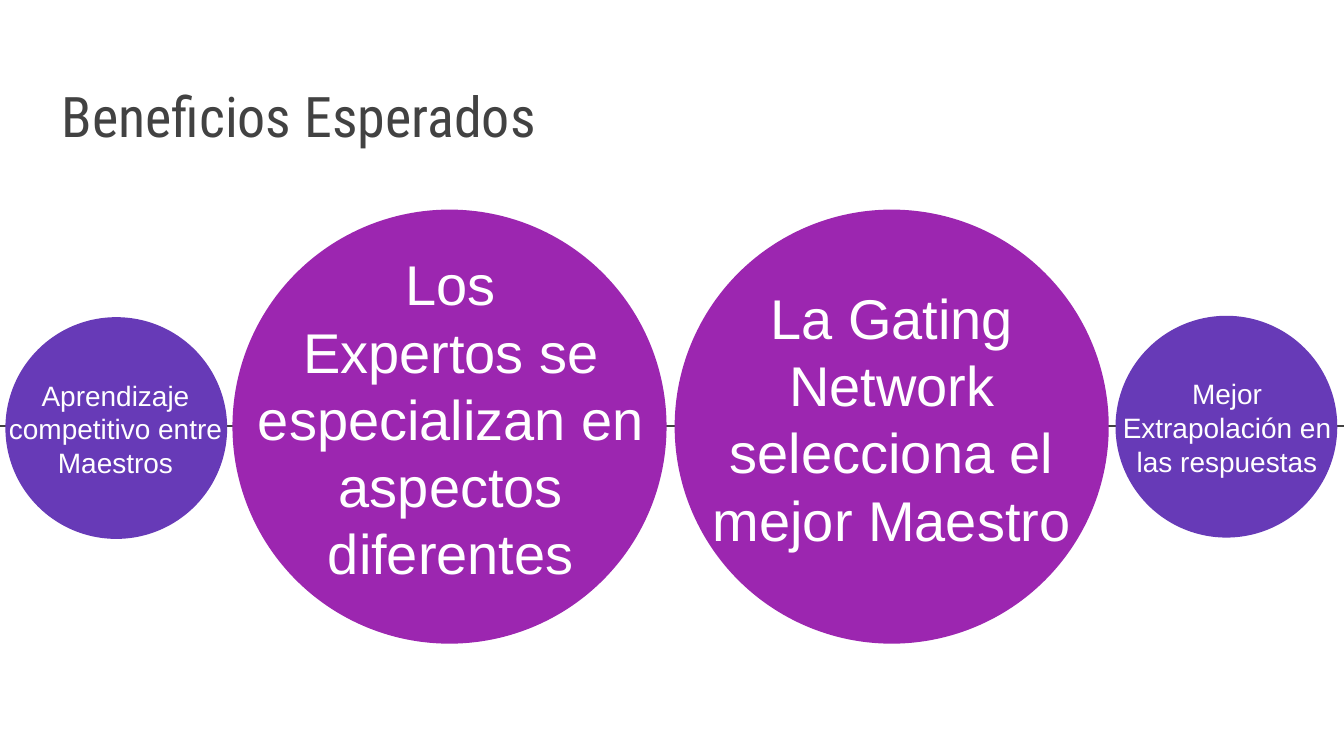
from dataclasses import dataclass

from lxml import etree
from pptx import Presentation
from pptx.dml.color import RGBColor
from pptx.enum.shapes import MSO_CONNECTOR, MSO_SHAPE
from pptx.enum.text import MSO_ANCHOR, MSO_AUTO_SIZE, PP_ALIGN
from pptx.oxml.ns import qn
from pptx.util import Inches, Pt

OVAL = MSO_SHAPE.OVAL
STRAIGHT = MSO_CONNECTOR.STRAIGHT
MIDDLE, BOTTOM = MSO_ANCHOR.MIDDLE, MSO_ANCHOR.BOTTOM
LEFT, CENTER = PP_ALIGN.LEFT, PP_ALIGN.CENTER
NO_FIT = MSO_AUTO_SIZE.NONE
TITLE_ONLY = 5
SLIDE_W = 10
SLIDE_H = SLIDE_W * 9 / 16


@dataclass(frozen=True)
class Theme:
    dark: RGBColor = RGBColor(0x42, 0x42, 0x42)
    white: RGBColor = RGBColor(0xFF, 0xFF, 0xFF)
    purple: RGBColor = RGBColor(0x9C, 0x26, 0xB0)
    violet: RGBColor = RGBColor(0x67, 0x3A, 0xB7)
    title_font: str = "Roboto Condensed"
    body_font: str = "Arial"
    large: int = 30
    small: int = 15
    leading: float = 1.2


THEME = Theme()


def place(sp, x, y, w, h):
    sp.left, sp.top, sp.width, sp.height = (Inches(v) for v in (x, y, w, h))


def write(tf, lines, font, size, color, align, anchor):
    tf.word_wrap = True
    tf.auto_size = NO_FIT
    tf.vertical_anchor = anchor
    tf.margin_left = tf.margin_right = Inches(0.1)
    tf.margin_top = tf.margin_bottom = Inches(0.1)
    for i, line in enumerate(lines):
        p = tf.paragraphs[0] if i == 0 else tf.add_paragraph()
        p.alignment = align
        r = p.add_run()
        r.text = line
        r.font.name = font
        r.font.size = Pt(size)
        r.font.color.rgb = color


def add_title(s, text, x, y, w, h):
    sp = s.shapes.title
    place(sp, x, y, w, h)
    write(sp.text_frame, [text], THEME.title_font, THEME.large, THEME.dark,
          LEFT, BOTTOM)


def add_axis(s, x, y, w):
    line = s.shapes.add_connector(STRAIGHT, Inches(x), Inches(y),
                                  Inches(x + w), Inches(y))
    line.line.color.rgb = THEME.dark
    line.line.width = Pt(1.5)
    etree.SubElement(line._element.spPr, qn("a:effectLst"))


def add_benefit(s, lines, x, y, dx, style):
    """Draw a circle at (x, y) and its label, shifted by dx from the circle."""
    d, fill, size, (dy, w, h) = style
    sp = s.shapes.add_shape(OVAL, Inches(x), Inches(y), Inches(d), Inches(d))
    sp.shadow.inherit = False
    sp.fill.solid()
    sp.fill.fore_color.rgb = fill
    sp.line.fill.background()

    box = s.shapes.add_textbox(Inches(x + dx), Inches(y + dy),
                               Inches(w), Inches(h))
    write(box.text_frame, lines, THEME.body_font, size, THEME.white,
          CENTER, MIDDLE)
    for p in box.text_frame.paragraphs:
        p.line_spacing = Pt(size * THEME.leading)


def main():
    prs = Presentation()
    prs.slide_width, prs.slide_height = Inches(SLIDE_W), Inches(SLIDE_H)
    s = prs.slides.add_slide(prs.slide_layouts[TITLE_ONLY])

    add_axis(s, 0, 3.17, 10.01)
    add_title(s, "Beneficios Esperados", 0.36, 0.41, 9.32, 0.8)

    big = (3.23, THEME.purple, THEME.large, (0.04, 3.23, 3.02))
    little = (1.65, THEME.violet, THEME.small, (0.3, 1.9, 1.06))
    benefits = [
        (["Los", "Expertos se especializan en aspectos diferentes"],
         1.73, 1.56, 0.01, big),
        (["Mejor Extrapolación en las respuestas"],
         8.3, 2.35, -0.12, little),
        (["La Gating Network selecciona el mejor Maestro"],
         5.02, 1.56, 0, big),
        (["Aprendizaje competitivo entre Maestros"],
         0.04, 2.36, -0.13, little),
    ]
    for benefit in benefits:
        add_benefit(s, *benefit)

    prs.save("out.pptx")


if __name__ == "__main__":
    main()
